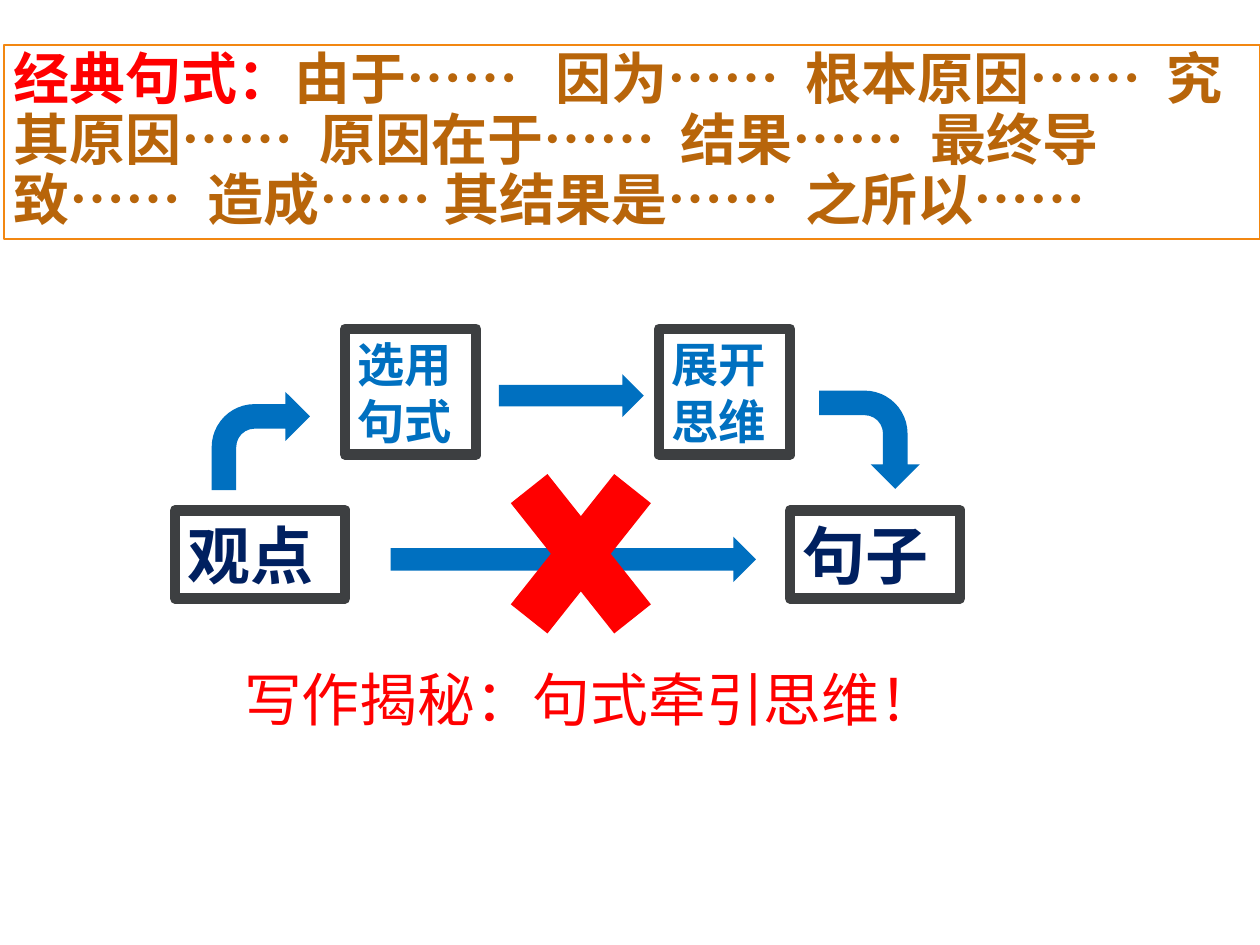
from dataclasses import dataclass
from typing import Any

from lxml.etree import SubElement
from pptx import Presentation
from pptx.dml.color import RGBColor
from pptx.enum.shapes import MSO_SHAPE as Preset
from pptx.enum.text import MSO_ANCHOR as Anchor, PP_ALIGN as Align
from pptx.oxml.ns import qn
from pptx.util import Inches, Pt


@dataclass(frozen=True)
class Theme:
    navy: str = "002060"
    blue: str = "0070C0"
    red: str = "FF0000"
    brown: str = "B8650A"
    orange: str = "F28711"
    frame: str = "3D3F41"
    white: str = "FFFFFF"
    latin: str = "Arial"
    chinese: str = "Noto Sans CJK SC"
    end_size: float = 36
    step_size: float = 27
    slogan_size: float = 33
    pattern_size: float = 32
    frame_width: float = 6
    pattern_line: float = 1


@dataclass(frozen=True)
class Box:
    left: float
    top: float
    width: float
    height: float

    def lengths(self) -> list:
        return [Inches(n) for n in (self.left, self.top, self.width, self.height)]


@dataclass(frozen=True)
class Label:
    text: str
    box: Box
    size: float
    color: str


@dataclass(frozen=True)
class Symbol:
    preset: Any
    box: Box
    color: str
    rotation: float = 0


@dataclass(frozen=True)
class Phrase:
    text: str
    spaces_after: int = 2


THEME = Theme()
END_TOP, END_WIDTH, END_HEIGHT = 4.05, 1.35, 0.7
STEP_TOP, STEP_WIDTH, STEP_HEIGHT = 2.61, 1.04, 1.0

LABELS = [
    *(Label(text, Box(left, END_TOP, END_WIDTH, END_HEIGHT), THEME.end_size, THEME.navy)
      for text, left in (("观点", 1.39), ("句子", 6.27))),
    *(Label(text, Box(left, STEP_TOP, STEP_WIDTH, STEP_HEIGHT), THEME.step_size, THEME.blue)
      for text, left in (("选用句式", 2.74), ("展开思维", 5.23))),
]
SYMBOLS = [
    Symbol(Preset.RIGHT_ARROW, Box(3.1, 4.26, 2.9, 0.36), THEME.blue),
    Symbol(Preset.BENT_ARROW, Box(1.68, 3.11, 0.78, 0.78), THEME.blue),
    Symbol(Preset.BENT_ARROW, Box(6.51, 3.09, 0.78, 0.8), THEME.blue, 90),
    Symbol(Preset.RIGHT_ARROW, Box(3.96, 2.97, 1.15, 0.34), THEME.blue),
    Symbol(Preset.MATH_MULTIPLY, Box(3.82, 3.4, 1.58, 1.99), THEME.red),
]
PHRASES = [
    Phrase("由于……", 3), Phrase("因为……"), Phrase("根本原因……"),
    Phrase("究其原因……"), Phrase("原因在于……"), Phrase("结果……"),
    Phrase("最终导致……"), Phrase("造成……", 1), Phrase("其结果是……"),
    Phrase("之所以……", 0),
]
SPACE_WIDTH = 0.22  # of the type size


def set_values(target: Any, values: dict) -> None:
    for name, value in values.items():
        setattr(target, name, value)


def set_frame(shape: Any, side: float, end: float, **values: Any) -> Any:
    """Set the insets and layout of the text; return its left-aligned paragraph."""
    set_values(shape.text_frame, {
        "margin_left": Inches(side), "margin_right": Inches(side),
        "margin_top": Inches(end), "margin_bottom": Inches(end),
        "word_wrap": True, "vertical_anchor": Anchor.TOP, **values,
    })
    paragraph = shape.text_frame.paragraphs[0]
    paragraph.alignment = Align.LEFT
    return paragraph


def add_run(paragraph: Any, text: str, size: float, color: str,
            latin: str = THEME.chinese, bold: bool = True) -> Any:
    run = paragraph.add_run()
    run.text = text
    set_values(run.font, {"size": Pt(size), "bold": bold, "name": latin})
    run.font.color.rgb = RGBColor.from_string(color)
    SubElement(run.font._element, qn("a:ea"), typeface=THEME.chinese)
    return run


def add_preset(slide: Any, preset: Any, box: Box, fill: str = "",
               line: str = "", line_width: float = 0) -> Any:
    shape = slide.shapes.add_shape(preset, *box.lengths())
    shape.shadow.inherit = False
    if fill:
        shape.fill.solid()
        shape.fill.fore_color.rgb = RGBColor.from_string(fill)
    else:
        shape.fill.background()
    if line:
        shape.line.color.rgb = RGBColor.from_string(line)
        shape.line.width = Pt(line_width)
    else:
        shape.line.fill.background()
    return shape


def add_label(slide: Any, label: Label) -> None:
    shape = add_preset(slide, Preset.RECTANGLE, label.box,
                       line=THEME.frame, line_width=THEME.frame_width)
    SubElement(shape.line._get_or_add_ln(), qn("a:round"))
    paragraph = set_frame(shape, 0.1, 0.05)
    add_run(paragraph, label.text, label.size, label.color, THEME.latin)


def add_symbol(slide: Any, symbol: Symbol) -> None:
    shape = add_preset(slide, symbol.preset, symbol.box, symbol.color)
    shape.rotation = symbol.rotation


def add_slogan(slide: Any) -> None:
    shape = slide.shapes.add_textbox(*Box(1.84, 5.22, 5.7, 0.65).lengths())
    paragraph = set_frame(shape, 0.1, 0.05, word_wrap=False)
    add_run(paragraph, "写作揭秘：句式牵引思维！", THEME.slogan_size, THEME.red, bold=False)


def add_patterns(slide: Any) -> None:
    """Sentence patterns in one paragraph, with widened single spaces between."""
    shape = add_preset(slide, Preset.RECTANGLE, Box(0.03, 0.36, 9.97, 1.54),
                       THEME.white, THEME.orange, THEME.pattern_line)
    paragraph = set_frame(shape, 0.08, 0.04, vertical_anchor=Anchor.MIDDLE)
    paragraph.line_spacing = 0.9
    size = THEME.pattern_size
    add_run(paragraph, "经典句式：", size, THEME.red)
    for phrase in PHRASES:
        add_run(paragraph, phrase.text, size, THEME.brown)
        if phrase.spaces_after:
            gap = add_run(paragraph, " ", size, THEME.brown)
            extra = (phrase.spaces_after - 1) * SPACE_WIDTH * size
            gap.font._element.set("spc", str(round(extra * 100)))


def main() -> None:
    presentation = Presentation()
    set_values(presentation, {"slide_width": Inches(10), "slide_height": Inches(7.5)})
    slide = presentation.slides.add_slide(presentation.slide_layouts[6])
    for label in LABELS:
        add_label(slide, label)
    for symbol in SYMBOLS:
        add_symbol(slide, symbol)
    add_slogan(slide)
    add_patterns(slide)
    presentation.save("out.pptx")


if __name__ == "__main__":
    main()
